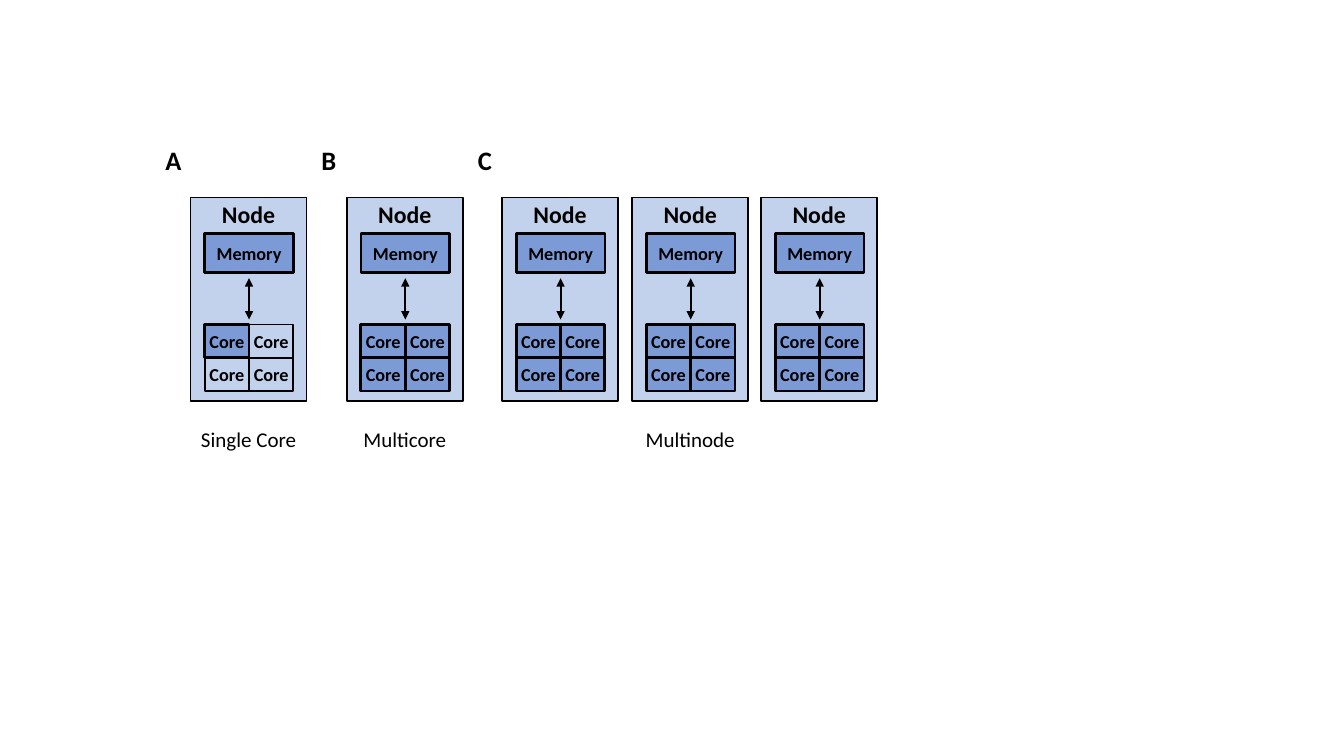
from lxml import etree
from pptx import Presentation, util as u
from pptx.dml.color import RGBColor
from pptx.enum import shapes, text
from pptx.oxml import ns

PX = 9144  # 100 px to the inch
LIGHT = RGBColor(0xC3, 0xD2, 0xEC)
ACTIVE = RGBColor(0x7C, 0x9B, 0xD6)
BLACK = RGBColor(0, 0, 0)

NODE_TOP, NODE_WIDTH, NODE_HEIGHT = 196, 115, 202
CORE_TOP, CORE_WIDTH, CORE_HEIGHT = 322, 44, 33
INNER_OFFSET = 14


def write(shape, wording, size, bold=True, inset=1):
    frame = shape.text_frame
    frame.word_wrap = True
    if inset is not None:
        frame.margin_left = frame.margin_right = inset * PX
        frame.margin_top = frame.margin_bottom = inset * PX
    frame.text = wording
    paragraph = frame.paragraphs[0]
    paragraph.alignment = text.PP_ALIGN.CENTER
    font = paragraph.runs[0].font
    font.name, font.size, font.bold = "Calibri", u.Pt(size), bold
    font.color.rgb = BLACK


def add_box(parent, left, top, width, height, fill, line_width, wording=None):
    box = parent.shapes.add_shape(
        shapes.MSO_SHAPE.RECTANGLE, left * PX, top * PX, width * PX, height * PX)
    box.shadow.inherit = False
    box.fill.solid()
    box.fill.fore_color.rgb = fill
    box.line.color.rgb = BLACK
    box.line.width = u.Pt(line_width)
    if wording:
        write(box, wording, 13)
        box.text_frame.vertical_anchor = text.MSO_ANCHOR.MIDDLE


presentation = Presentation()
presentation.slide_width, presentation.slide_height = 1333 * PX, 750 * PX
slide = presentation.slides.add_slide(presentation.slide_layouts[6])

# Nodes: left edge and number of active cores
for node_left, active_cores in [(189, 1), (344, 4), (498, 4), (627, 4), (755, 4)]:
    node = slide.shapes.add_group_shape()
    add_box(node, node_left, NODE_TOP, NODE_WIDTH, NODE_HEIGHT, LIGHT, 1.25)
    inner_left = node_left + INNER_OFFSET

    # Two by two grid of cores
    for index in range(4):
        row, column = divmod(index, 2)
        fill, line_width = (ACTIVE, 2) if index < active_cores else (LIGHT, 1.25)
        add_box(node, inner_left + column * CORE_WIDTH, CORE_TOP + row * CORE_HEIGHT,
                CORE_WIDTH, CORE_HEIGHT, fill, line_width, "Core")

    # Two-headed arrow between memory and cores
    middle = inner_left + CORE_WIDTH
    arrow = node.shapes.add_connector(
        shapes.MSO_CONNECTOR.STRAIGHT, middle * PX, 276 * PX, middle * PX, 317 * PX)
    arrow.line.color.rgb = BLACK
    arrow.line.width = u.Pt(1.5)
    line = arrow.line._get_or_add_ln()
    for end in ("a:headEnd", "a:tailEnd"):
        etree.SubElement(line, ns.qn(end), type="triangle")
    etree.SubElement(arrow._element.spPr, ns.qn("a:effectLst"))

    # Memory and node title
    add_box(node, inner_left, 232, 2 * CORE_WIDTH, 38, ACTIVE, 2, "Memory")
    title = node.shapes.add_textbox(
        (node_left + 18) * PX, 197 * PX, 79 * PX, 31 * PX)
    write(title, "Node", 17)
    title.text_frame.auto_size = text.MSO_AUTO_SIZE.SHAPE_TO_FIT_TEXT

# Panel letters and captions
for letter, letter_left, caption, caption_left in [
        ("A", 150, "Single Core", 179),
        ("B", 304, "Multicore", 334),
        ("C", 459, "Multinode", 617)]:
    letter_box = slide.shapes.add_textbox(letter_left * PX, 138 * PX, 44 * PX, 42 * PX)
    write(letter_box, letter, 19, inset=None)
    caption_box = slide.shapes.add_textbox(caption_left * PX, 422 * PX, 135 * PX, 27 * PX)
    write(caption_box, caption, 15, bold=False)
    for label in (letter_box, caption_box):
        label.text_frame.auto_size = text.MSO_AUTO_SIZE.SHAPE_TO_FIT_TEXT

presentation.save("out.pptx")
